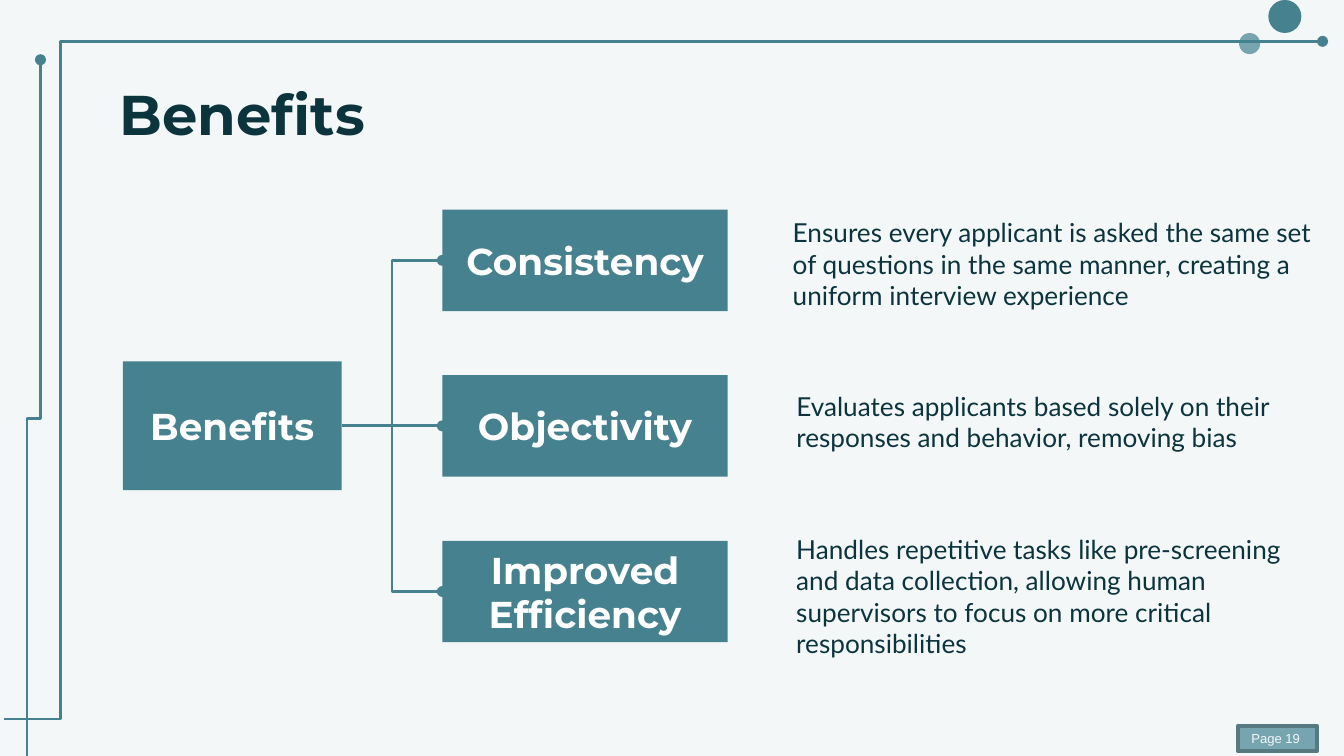
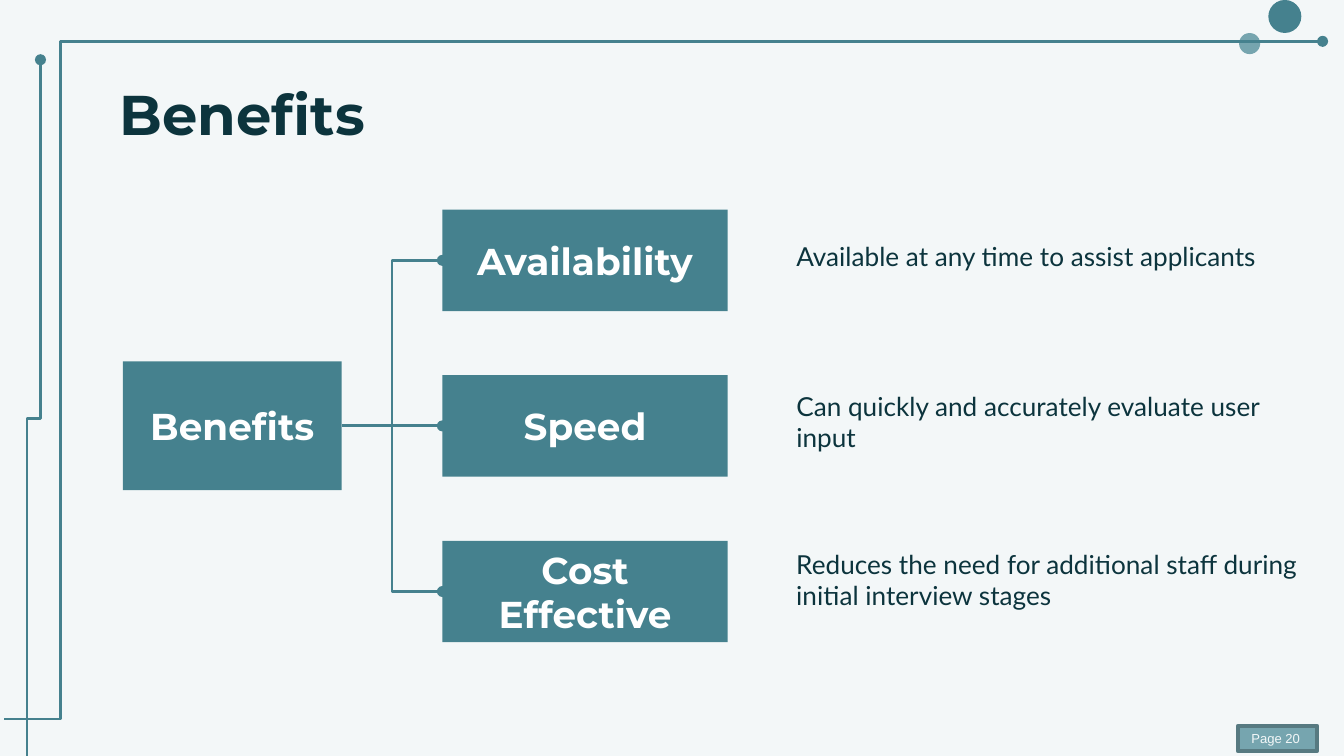
from dataclasses import dataclass

import lxml.etree
import pptx
import pptx.dml.color
import pptx.enum.shapes
import pptx.enum.text
import pptx.oxml.ns
import pptx.util

Pt = pptx.util.Pt
Shapes = pptx.enum.shapes.MSO_SHAPE
Anchor = pptx.enum.text.MSO_ANCHOR
AutoSize = pptx.enum.text.MSO_AUTO_SIZE
Align = pptx.enum.text.PP_ALIGN

BACKGROUND = "F3F7F8"
TEAL = "45818E"
LIGHT_TEAL = "76A5AF"
BADGE_EDGE = "577A81"
INK = "0C343D"
WHITE = "FFFFFF"
INSET = 7.2


@dataclass(frozen=True)
class Box:
    left: float
    top: float
    width: float
    height: float

    @property
    def middle(self) -> float:
        return self.top + self.height / 2

    @property
    def right(self) -> float:
        return self.left + self.width

    def lengths(self) -> tuple:
        return Pt(self.left), Pt(self.top), Pt(self.width), Pt(self.height)


@dataclass(frozen=True)
class TextStyle:
    font: str
    size: float
    color: str
    bold: bool = False
    align: Align = Align.LEFT


@dataclass(frozen=True)
class Benefit:
    name: str
    description: str
    left: float
    top: float
    width: float
    lines: int


@dataclass(frozen=True)
class BenefitSlide:
    page: int
    benefits: tuple


TITLE_STYLE = TextStyle("Montserrat", 30, INK, bold=True)
BOX_STYLE = TextStyle("Montserrat", 20, WHITE, bold=True, align=Align.CENTER)
BODY_STYLE = TextStyle("Lato", 14, INK)
BADGE_STYLE = TextStyle("Arial", 7, BACKGROUND, align=Align.CENTER)

TITLE_BOX = Box(56.9, 35.3, 607, 45.4)
BADGE_BOX = Box(663.1, 388.8, 42.5, 13.7)
ROOT_BOX = Box(65.8, 193.7, 117.3, 69)
FIRST_BENEFIT_BOX = Box(237, 112.3, 152.9, 54.4)
ROW_PITCH = 88.7
LINE_HEIGHT = 16.8

SLIDES = (
    BenefitSlide(19, (
        Benefit("Consistency",
                "Ensures every applicant is asked the same set of questions in the "
                "same manner, creating a uniform interview experience",
                417.6, 112.5, 302.4, 3),
        Benefit("Objectivity",
                "Evaluates applicants based solely on their responses and behavior, "
                "removing bias",
                419.5, 205.4, 286.6, 2),
        Benefit("Improved Efficiency",
                "Handles repetitive tasks like pre-screening and data collection, "
                "allowing human supervisors to focus on more critical responsibilities",
                419.5, 282.2, 288, 4),
    )),
    BenefitSlide(20, (
        Benefit("Availability", "Available at any time to assist applicants",
                419.5, 125.3, 300, 1),
        Benefit("Speed", "Can quickly and accurately evaluate user input",
                419.5, 205.4, 286.6, 2),
        Benefit("Cost Effective",
                "Reduces the need for additional staff during initial interview stages",
                419.5, 290.2, 288, 2),
    )),
)


def rgb(color: str) -> pptx.dml.color.RGBColor:
    return pptx.dml.color.RGBColor.from_string(color)


def write_text(shape, text: str, style: TextStyle, anchor: Anchor) -> None:
    frame = shape.text_frame
    frame.word_wrap = True
    frame.vertical_anchor = anchor
    paragraph = frame.paragraphs[0]
    paragraph.alignment = style.align
    run = paragraph.add_run()
    run.text = text
    run.font.name = style.font
    run.font.size = Pt(style.size)
    run.font.bold = style.bold
    run.font.color.rgb = rgb(style.color)


def set_insets(shape, inset: float) -> None:
    frame = shape.text_frame
    frame.margin_left = frame.margin_right = Pt(inset)
    frame.margin_top = frame.margin_bottom = Pt(inset)


def add_filled(slide, kind: Shapes, box: Box, fill: str):
    shape = slide.shapes.add_shape(kind, *box.lengths())
    shape.shadow.inherit = False
    shape.fill.solid()
    shape.fill.fore_color.rgb = rgb(fill)
    shape.line.fill.background()
    return shape


def add_label_box(slide, box: Box, text: str) -> None:
    shape = add_filled(slide, Shapes.RECTANGLE, box, TEAL)
    set_insets(shape, INSET)
    write_text(shape, text, BOX_STYLE, Anchor.MIDDLE)


def add_elbow(slide, start: tuple, end: tuple, bend: float = 0.5):
    """Draw a bent line with a dot at its end; bend is where it turns, from 0 to 1."""
    connector = slide.shapes.add_connector(
        pptx.enum.shapes.MSO_CONNECTOR.ELBOW, *map(Pt, start + end))
    connector.line.color.rgb = rgb(TEAL)
    connector.line.width = Pt(1.5)
    qualified = pptx.oxml.ns.qn
    line = connector.line.fill._xPr
    lxml.etree.SubElement(line, qualified("a:tailEnd"), type="oval")
    properties = connector._element.spPr
    lxml.etree.SubElement(properties, qualified("a:effectLst"))
    adjustments = properties.find(".//" + qualified("a:avLst"))
    lxml.etree.SubElement(adjustments, qualified("a:gd"),
                          name="adj1", fmla=f"val {round(bend * 100000)}")
    return connector


def decorate_layout(slide, layout) -> None:
    """Set the shared background and move the frame, drawn on slide, to the layout."""
    layout.background.fill.solid()
    layout.background.fill.fore_color.rgb = rgb(BACKGROUND)
    for placeholder in list(layout.placeholders):
        if placeholder.placeholder_format.idx != 0:
            placeholder.element.getparent().remove(placeholder.element)

    small_dot = add_filled(slide, Shapes.OVAL, Box(663.8, 17.7, 11.3, 11.3), LIGHT_TEAL)
    large_dot = add_filled(slide, Shapes.OVAL, Box(679.5, 0, 17.7, 17.7), TEAL)
    frame_line = add_elbow(slide, (2.2, 385.2), (708.5, 22.2), bend=0.043)
    side_line = add_elbow(slide, (-173.9, 220.4), (210.1, 227.6))
    side_line.rotation = 270
    for shape in (small_dot, large_dot, frame_line, side_line):
        layout.shapes.element.append(shape.element)


def add_title(slide, text: str) -> None:
    title = slide.shapes.title
    title.left, title.top, title.width, title.height = TITLE_BOX.lengths()
    set_insets(title, INSET)
    title.text_frame.auto_size = AutoSize.NONE
    write_text(title, text, TITLE_STYLE, Anchor.TOP)


def add_page_badge(slide, page: int) -> None:
    badge = add_filled(slide, Shapes.RECTANGLE, BADGE_BOX, LIGHT_TEAL)
    badge.line.color.rgb = rgb(BADGE_EDGE)
    badge.line.width = Pt(2)
    write_text(badge, f"Page {page} ", BADGE_STYLE, Anchor.MIDDLE)


def add_description(slide, benefit: Benefit) -> None:
    box = Box(benefit.left, benefit.top, benefit.width,
              benefit.lines * LINE_HEIGHT + INSET)
    shape = slide.shapes.add_textbox(*box.lengths())
    shape.text_frame.auto_size = AutoSize.SHAPE_TO_FIT_TEXT
    write_text(shape, benefit.description, BODY_STYLE, Anchor.TOP)


def add_benefit_tree(slide, benefits: tuple) -> None:
    first = FIRST_BENEFIT_BOX
    boxes = [Box(first.left, first.top + row * ROW_PITCH, first.width, first.height)
             for row in range(len(benefits))]
    add_label_box(slide, ROOT_BOX, "Benefits")
    for box in boxes:
        add_elbow(slide, (ROOT_BOX.right, ROOT_BOX.middle), (box.left, box.middle))
    for box, benefit in zip(boxes, benefits):
        add_label_box(slide, box, benefit.name)
    for benefit in benefits:
        add_description(slide, benefit)


def main() -> None:
    presentation = pptx.Presentation()
    presentation.slide_width = Pt(720)
    presentation.slide_height = Pt(405)
    layout = presentation.slide_layouts.get_by_name("Title Only")
    for number, content in enumerate(SLIDES):
        slide = presentation.slides.add_slide(layout)
        if number == 0:
            decorate_layout(slide, layout)
        add_title(slide, "Benefits")
        add_page_badge(slide, content.page)
        add_benefit_tree(slide, content.benefits)
    presentation.save("out.pptx")


if __name__ == "__main__":
    main()
